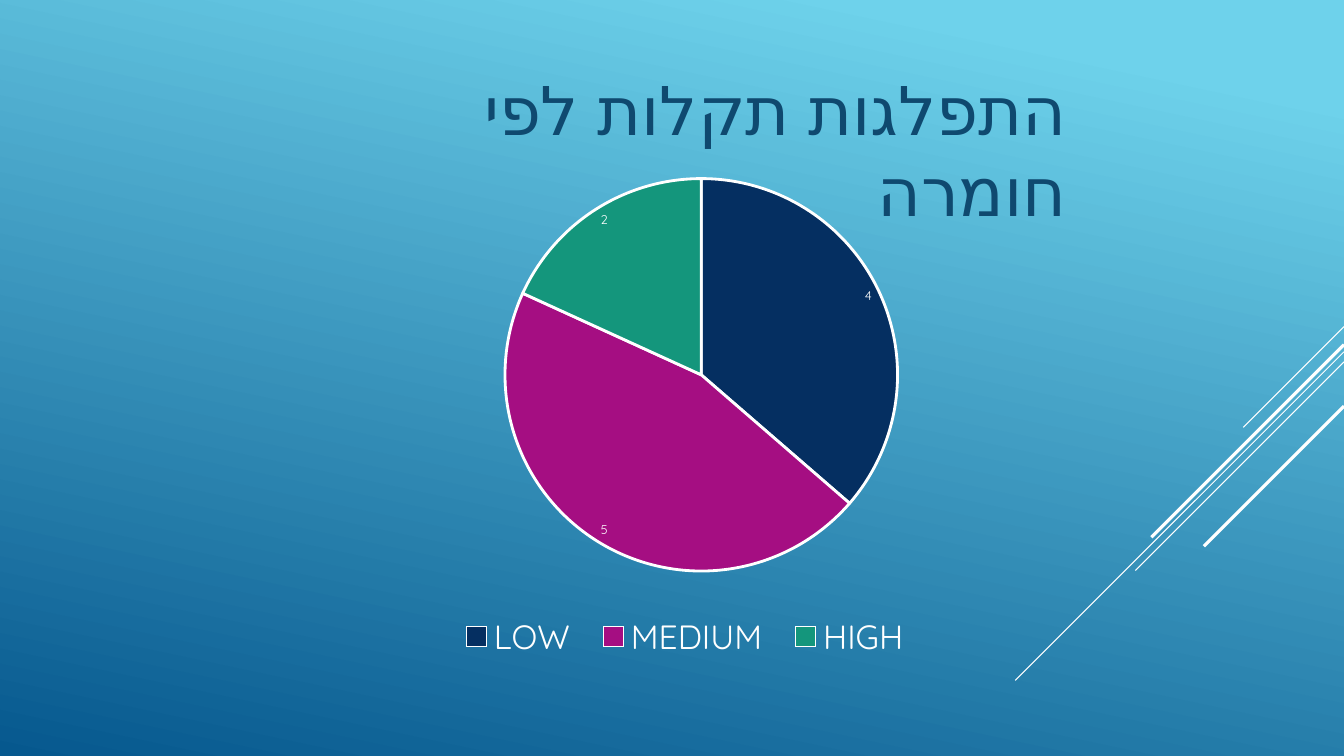
"""Build the slide showing how faults are spread by severity."""
from dataclasses import dataclass

from lxml.etree import SubElement
from pptx import Presentation
from pptx.chart.data import CategoryChartData
from pptx.dml.color import RGBColor
from pptx.enum.chart import XL_CHART_TYPE, XL_LABEL_POSITION, XL_LEGEND_POSITION
from pptx.enum.text import MSO_ANCHOR, PP_ALIGN
from pptx.oxml import parse_xml
from pptx.oxml.ns import nsdecls, qn
from pptx.util import Inches, Pt


@dataclass(frozen=True)
class Theme:
    """Hold the colours, font and type sizes of the slide."""
    font: str = "Quicksand"
    sky: str = "6ED2EB"
    deep: str = "06588E"
    white: str = "FFFFFF"
    heading: str = "0F496F"
    heading_size: int = 48
    legend_size: int = 24
    chart_size: int = 10
    label_size: int = 9
    thin: float = 0.75
    thick: float = 2.25


THEME = Theme()
SEVERITIES = {
    "LOW": (4, "052F61"),
    "MEDIUM": (5, "A50E82"),
    "HIGH": (2, "14967C"),
}
SLIDE_WIDTH = 13.33
STREAKS = [
    (3.24, 1.0, THEME.thin),
    (3.49, 3.26, THEME.thin),
    (3.59, 2.07, THEME.thin),
    (3.42, 1.91, THEME.thick),
    (4.03, 1.39, THEME.thick),
]


def rgb(value):
    return RGBColor.from_string(value)


def style_font(font, size, colour):
    """Apply the theme font with a size and colour."""
    font.name = THEME.font
    font.size = Pt(size)
    font.color.rgb = rgb(colour)


def paint_background(slide):
    """Fill the background with the blue gradient."""
    fill = slide.background.fill
    fill.gradient()
    fill.gradient_angle = 360 - 102
    stops = ((0.1, THEME.sky), (1.0, THEME.deep))
    for stop, (position, colour) in zip(fill.gradient_stops, stops):
        stop.position = position
        stop.color.rgb = rgb(colour)


def add_streak(slide, top, reach, weight):
    """Draw a 45 degree line down and left from the right edge."""
    streak = slide.shapes.add_connector(
        1, Inches(SLIDE_WIDTH), Inches(top),
        Inches(SLIDE_WIDTH - reach), Inches(top + reach))
    streak.line.color.rgb = rgb(THEME.white)
    streak.line.width = Pt(weight)
    SubElement(streak._element.spPr, qn("a:effectLst"))


def manual_layout(x, y, width, height, inner=False):
    """Return a chart layout given in fractions of the chart area."""
    target = '<c:layoutTarget val="inner"/>' if inner else ""
    return parse_xml(
        f'<c:layout {nsdecls("c")}><c:manualLayout>{target}'
        '<c:xMode val="edge"/><c:yMode val="edge"/>'
        f'<c:x val="{x}"/><c:y val="{y}"/>'
        f'<c:w val="{width}"/><c:h val="{height}"/>'
        '</c:manualLayout></c:layout>')


def add_severity_pie(slide):
    """Add the pie of fault counts with its labels and legend."""
    data = CategoryChartData()
    data.categories = list(SEVERITIES)
    data.add_series("Series 1", [count for count, _ in SEVERITIES.values()])
    chart = slide.shapes.add_chart(
        XL_CHART_TYPE.PIE, Inches(0.82), Inches(1.3),
        Inches(10.86), Inches(5.9), data).chart
    chart.has_title = False
    style_font(chart.font, THEME.chart_size, THEME.white)

    plot = chart.plots[0]
    plot.vary_by_categories = True
    series = plot.series[0]
    for index, (_, colour) in enumerate(SEVERITIES.values()):
        wedge = series.points[index].format
        wedge.fill.solid()
        wedge.fill.fore_color.rgb = rgb(colour)
        wedge.line.color.rgb = rgb(THEME.white)
        wedge.line.width = Pt(2)

    labels = series.data_labels
    labels.show_value = True
    labels.position = XL_LABEL_POSITION.BEST_FIT
    style_font(labels.font, THEME.label_size, THEME.white)

    chart.has_legend = True
    legend = chart.legend
    legend.position = XL_LEGEND_POSITION.BOTTOM
    legend.include_in_layout = False
    style_font(legend.font, THEME.legend_size, THEME.white)

    plot_area = chart._chartSpace.chart.plotArea
    for old_layout in plot_area.findall(qn("c:layout")):
        plot_area.remove(old_layout)
    plot_area.insert(0, manual_layout(0.21, 0.08, 0.71, 0.66, inner=True))
    for old_layout in legend._element.findall(qn("c:layout")):
        legend._element.remove(old_layout)
    legend._element.find(qn("c:legendPos")).addnext(
        manual_layout(0.33, 0.8, 0.44, 0.1))


def add_heading(slide, wording):
    """Add the right-to-left heading."""
    frame = slide.shapes.add_textbox(
        Inches(3.02), Inches(0.63), Inches(7.66), Inches(0.92)).text_frame
    frame.word_wrap = True
    frame.vertical_anchor = MSO_ANCHOR.TOP
    paragraph = frame.paragraphs[0]
    paragraph.alignment = PP_ALIGN.RIGHT
    paragraph.space_after = Pt(6)
    paragraph._p.get_or_add_pPr().set("rtl", "1")
    run = paragraph.add_run()
    run.text = wording
    style_font(run.font, THEME.heading_size, THEME.heading)
    properties = run._r.get_or_add_rPr()
    properties.set("lang", "he-IL")
    SubElement(properties, qn("a:cs")).set("typeface", THEME.font)


def main():
    """Build and save the slide."""
    presentation = Presentation()
    presentation.slide_width = Inches(SLIDE_WIDTH)
    presentation.slide_height = Inches(7.5)
    slide = presentation.slides.add_slide(presentation.slide_layouts[6])
    paint_background(slide)
    for top, reach, weight in STREAKS:
        add_streak(slide, top, reach, weight)
    add_severity_pie(slide)
    add_heading(slide, "התפלגות תקלות לפי חומרה")
    presentation.save("out.pptx")


main()
